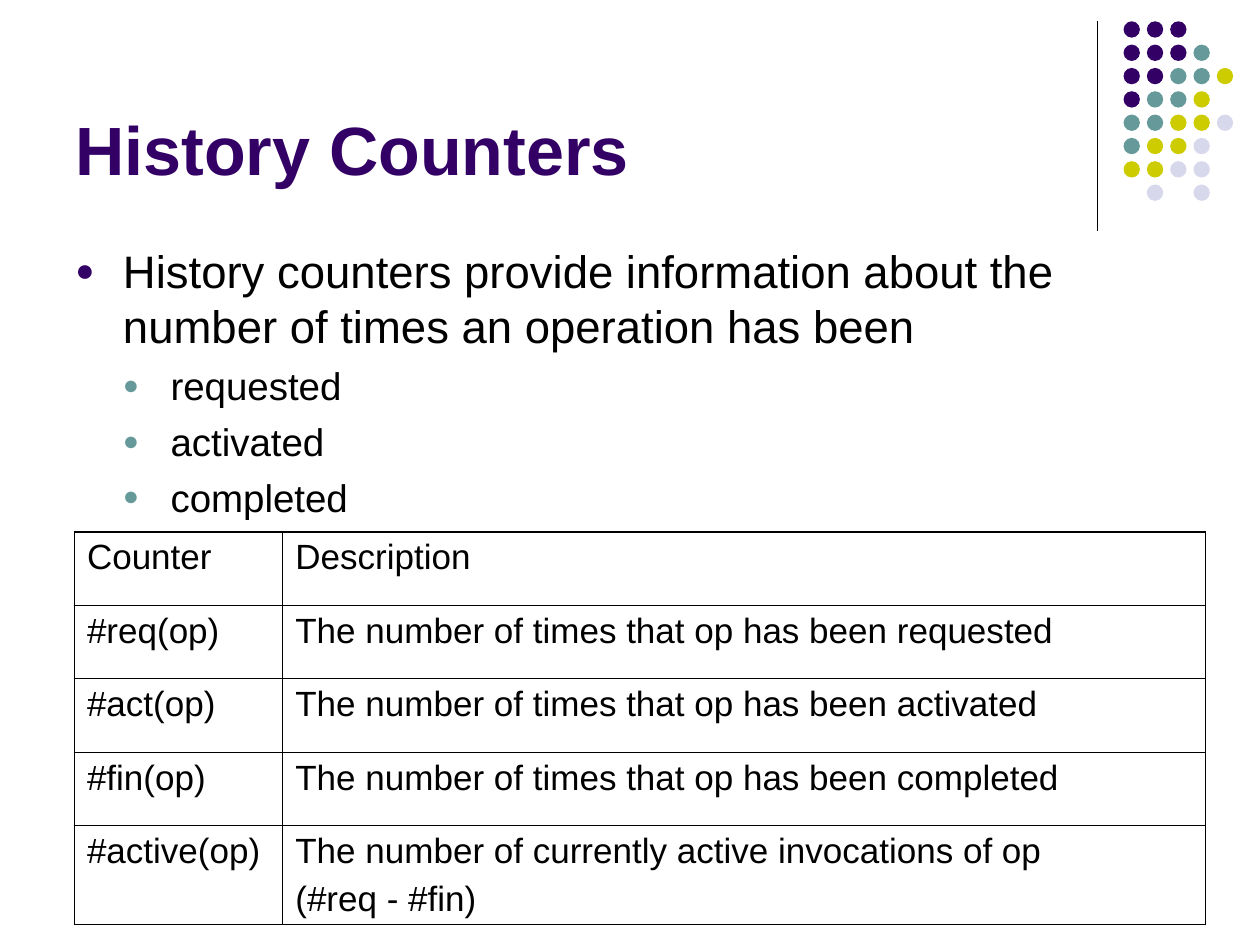
from lxml import etree
from pptx import Presentation
from pptx.dml.color import RGBColor
from pptx.enum.shapes import MSO_CONNECTOR, MSO_SHAPE
from pptx.enum.text import MSO_ANCHOR
from pptx.oxml.ns import qn
from pptx.util import Cm, Pt

STRAIGHT = MSO_CONNECTOR.STRAIGHT
OVAL = MSO_SHAPE.OVAL
BOTTOM = MSO_ANCHOR.BOTTOM

FONT = "Arial"
BLACK, PURPLE, TEAL, OLIVE, LAVENDER = "000000", "330066", "669999", "CCCC00", "D8D8EC"
HANGING = 0.96


def rgb(color):
    return RGBColor.from_string(color)


def write(paragraph, text, size, color=BLACK, bold=False, space_before=0,
          bullet_color=None, indent=0):
    """Fill one paragraph; a bullet_color gives it a hanging bullet."""
    paragraph.space_before = Pt(space_before)
    if bullet_color:
        properties = paragraph._p.get_or_add_pPr()
        properties.set("marL", str(Cm(indent)))
        properties.set("indent", str(-Cm(HANGING)))
        bullet_fill = etree.SubElement(properties, qn("a:buClr"))
        etree.SubElement(bullet_fill, qn("a:srgbClr"), val=str(rgb(bullet_color)))
        etree.SubElement(properties, qn("a:buSzPct"), val="70000")
        etree.SubElement(properties, qn("a:buFont"), typeface=FONT)
        etree.SubElement(properties, qn("a:buChar"), char="●")
    run = paragraph.add_run()
    run.text = text
    run.font.name = FONT
    run.font.size = Pt(size)
    run.font.bold = bold
    run.font.color.rgb = rgb(color)


presentation = Presentation()
presentation.slide_width = Cm(25.4)
presentation.slide_height = Cm(19.05)
slide = presentation.slides.add_slide(presentation.slide_layouts[6])
shapes = slide.shapes

# Corner decoration: a rule and a grid of dots
rule = shapes.add_connector(STRAIGHT, Cm(22.12), Cm(0.43), Cm(22.12), Cm(4.65))
rule.line.color.rgb = rgb(BLACK)
rule.line.width = Pt(0.75)
etree.SubElement(rule._element.spPr, qn("a:effectLst"))

DOT_COLORS = {"P": PURPLE, "T": TEAL, "O": OLIVE, "L": LAVENDER}
DOT_ROWS = ["PPP", "PPPT", "PPTTO", "PTTO", "TTOOL", "TOOL", "OOLL", " L L"]
DOT_LEFT, DOT_TOP, DOT_PITCH, DOT_SIZE = 22.65, 0.43, 0.47, 0.33
for row, letters in enumerate(DOT_ROWS):
    for column, letter in enumerate(letters):
        if letter == " ":
            continue
        dot = shapes.add_shape(OVAL, Cm(DOT_LEFT + column * DOT_PITCH),
                               Cm(DOT_TOP + row * DOT_PITCH), Cm(DOT_SIZE), Cm(DOT_SIZE))
        dot.shadow.inherit = False
        dot.fill.solid()
        dot.fill.fore_color.rgb = rgb(DOT_COLORS[letter])
        dot.line.fill.background()

# Title
title = shapes.add_textbox(Cm(1.27), Cm(0.33), Cm(20.96), Cm(3.61)).text_frame
title.word_wrap = True
title.vertical_anchor = BOTTOM
write(title.paragraphs[0], "History Counters", size=39, color=PURPLE, bold=True)

# Bulleted explanation
explanation = shapes.add_textbox(Cm(1.27), Cm(4.78), Cm(22.86), Cm(5.92)).text_frame
explanation.word_wrap = True
write(explanation.paragraphs[0],
      "History counters provide information about the number of times an operation has been",
      size=26, bullet_color=PURPLE, indent=HANGING)
for event in ["requested", "activated", "completed"]:
    paragraph = explanation.add_paragraph()
    paragraph.level = 1
    write(paragraph, event, size=22, space_before=5.5,
          bullet_color=TEAL, indent=2 * HANGING)

# Counter table
COUNTERS = [
    ("Counter", ["Description"]),
    ("#req(op)", ["The number of times that op has been requested"]),
    ("#act(op)", ["The number of times that op has been activated"]),
    ("#fin(op)", ["The number of times that op has been completed"]),
    ("#active(op)", ["The number of currently active invocations of op", "(#req - #fin)"]),
]
COLUMN_WIDTHS = [4.2, 18.6]
ROW_HEIGHTS = [1.48] * 4 + [1.85]
OUTER, INNER = Pt(1.08), Pt(0.45)
last_row = len(ROW_HEIGHTS) - 1
table = shapes.add_table(len(ROW_HEIGHTS), len(COLUMN_WIDTHS), Cm(1.5), Cm(10.72),
                         Cm(sum(COLUMN_WIDTHS)), Cm(sum(ROW_HEIGHTS))).table
for column, width in enumerate(COLUMN_WIDTHS):
    table.columns[column].width = Cm(width)
for row, (counter, description) in enumerate(COUNTERS):
    table.rows[row].height = Cm(ROW_HEIGHTS[row])
    for column, lines in enumerate([[counter], description]):
        cell = table.cell(row, column)
        if row == last_row:
            cell.margin_bottom = Cm(0)
        for number, line in enumerate(lines):
            if number == 0:
                write(cell.text_frame.paragraphs[0], line, size=20)
            else:
                write(cell.text_frame.add_paragraph(), line, size=20, space_before=5)
        on_edge = {"a:lnL": column == 0, "a:lnR": column == 1,
                   "a:lnT": row == 0, "a:lnB": row == last_row}
        cell_properties = cell._tc.get_or_add_tcPr()
        for side, is_outer in on_edge.items():
            border = etree.SubElement(cell_properties, qn(side),
                                      w=str(OUTER if is_outer else INNER))
            border_fill = etree.SubElement(border, qn("a:solidFill"))
            etree.SubElement(border_fill, qn("a:srgbClr"), val=str(rgb(BLACK)))
        cell.fill.background()

presentation.save("out.pptx")
